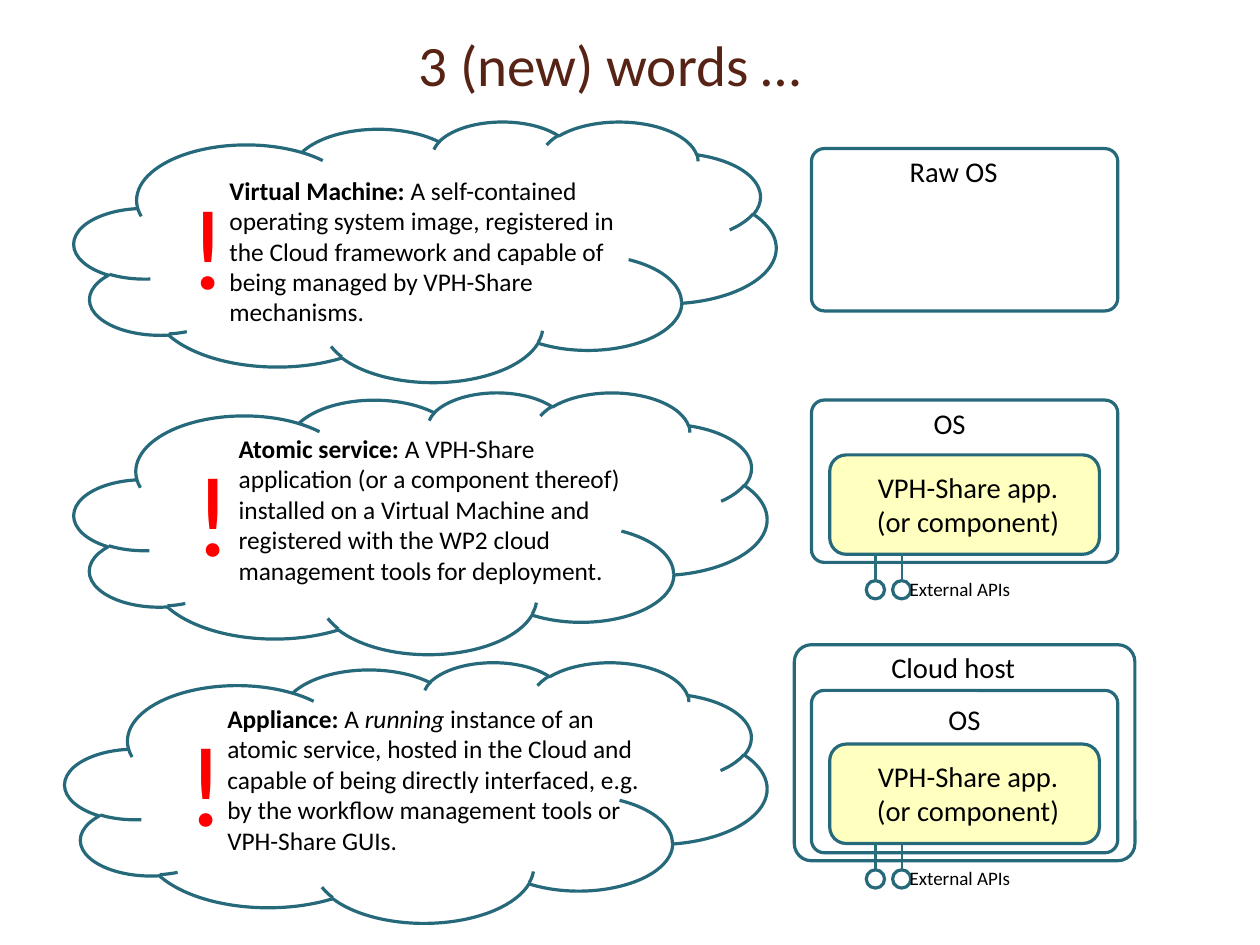
import pptx
import pptx.util
import pptx.dml.color
import pptx.enum.shapes
import pptx.enum.text
import pptx.oxml
import pptx.oxml.ns
from lxml import etree

Inches = pptx.util.Inches
Pt = pptx.util.Pt
hex_color = pptx.dml.color.RGBColor.from_string
MSO_SHAPE = pptx.enum.shapes.MSO_SHAPE
PP_ALIGN = pptx.enum.text.PP_ALIGN
qn = pptx.oxml.ns.qn

TEAL = "26697A"
CONNECTOR_TEAL = "2A6D7D"
BLACK = "000000"
RED = "FF0000"

prs = pptx.Presentation()
prs.slide_width = Pt(793.75)
prs.slide_height = Pt(595.25)
slide = prs.slides.add_slide(prs.slide_layouts[5])


def add_outline(kind, box, corner=None):
    outline = slide.shapes.add_shape(kind, *map(Inches, box))
    outline.shadow.inherit = False
    outline.fill.background()
    outline.line.color.rgb = hex_color(TEAL)
    outline.line.width = Pt(2)
    if corner is not None:
        outline.adjustments[0] = corner
    return outline


def add_text(box, paragraphs, size, color=BLACK, wrap=False, align=PP_ALIGN.LEFT):
    frame = slide.shapes.add_textbox(*map(Inches, box)).text_frame
    frame.word_wrap = wrap
    frame.auto_size = pptx.enum.text.MSO_AUTO_SIZE.SHAPE_TO_FIT_TEXT
    for index, runs in enumerate(paragraphs):
        paragraph = frame.paragraphs[0] if index == 0 else frame.add_paragraph()
        paragraph.alignment = align
        for words, emphasis in runs:
            run = paragraph.add_run()
            run.text = words
            run.font.color.rgb = hex_color(color)
            font_format = {"name": "Calibri", "size": Pt(size), **emphasis}
            for attribute, value in font_format.items():
                setattr(run.font, attribute, value)


title = slide.shapes.title
title_box = {"left": 3.55, "top": -0.1, "width": 3.92, "height": 1.31}
for attribute, value in title_box.items():
    setattr(title, attribute, Inches(value))
title_frame = title.text_frame
title_frame.text = "3 (new) words …"
title_frame_format = {
    "margin_left": Inches(0.11),
    "margin_right": Inches(0.11),
    "margin_top": Inches(0.06),
    "margin_bottom": Inches(0.06),
    "vertical_anchor": pptx.enum.text.MSO_ANCHOR.MIDDLE,
    "auto_size": pptx.enum.text.MSO_AUTO_SIZE.NONE,
}
for attribute, value in title_frame_format.items():
    setattr(title_frame, attribute, value)
title_frame.paragraphs[0].alignment = PP_ALIGN.LEFT
title_font = title_frame.paragraphs[0].runs[0].font
title_font.name = "Calibri"
title_font.size = Pt(36)
title_font.color.rgb = hex_color("572314")

bold = {"bold": True}
definitions = [
    ((0.57, 5.79, 6.14, 2.28), (1.89, 6.1, 3.85, 1.7), (1.54, 6.18), [
        ("Appliance: ", bold),
        ("A ", {}),
        ("running", {"italic": True}),
        (" instance of an atomic service, hosted in the Cloud and capable of "
         "being directly interfaced, e.g. by the workflow management tools or "
         "VPH-Share GUIs.", {}),
    ]),
    ((0.65, 1.06, 6.14, 2.28), (1.91, 1.48, 3.67, 1.7), (1.56, 1.48), [
        ("Virtual Machine: ", bold),
        ("A self-contained operating system image, registered in the Cloud "
         "framework and capable of being managed by VPH-Share mechanisms.", {}),
    ]),
    ((0.65, 3.43, 6.06, 2.29), (1.99, 3.74, 3.8, 1.7), (1.6, 3.82), [
        ("Atomic service: ", bold),
        ("A VPH-Share application (or a component thereof) installed on a "
         "Virtual Machine and registered with the WP2 cloud management tools "
         "for deployment.", {}),
    ]),
]
for cloud_box, definition_box, mark_place, definition in definitions:
    add_outline(MSO_SHAPE.CLOUD, cloud_box)
    add_text(definition_box, [definition], 16, wrap=True)
    add_text((*mark_place, 0.47, 1.3), [[("!", {})]], 72, RED)

systems = [
    ((7.1, 1.3, 2.68, 1.42), "Raw OS", (7.86, 1.3, 1.09, 0.4), None),
    ((7.1, 3.5, 2.68, 1.42), "OS", (8.07, 3.5, 0.53, 0.4), 3.98),
    ((7.1, 6.04, 2.68, 1.42), "OS", (8.2, 6.09, 0.53, 0.4), 6.51),
    ((6.95, 5.64, 2.98, 1.89), "Cloud host", (7.7, 5.64, 1.46, 0.4), None),
]
for system_box, system_name, name_box, app_top in systems:
    add_outline(MSO_SHAPE.ROUNDED_RECTANGLE, system_box, 0.079)
    add_text(name_box, [[(system_name, {})]], 18)
    if app_top is None:
        continue
    app = add_outline(MSO_SHAPE.ROUNDED_RECTANGLE, (7.26, app_top, 2.36, 0.87), 0.167)
    app.fill.solid()
    app.fill.fore_color.rgb = hex_color("FFFF00")
    app_color = app.fill._xPr.find(qn("a:solidFill"))[0]
    etree.SubElement(app_color, qn("a:alpha"), val="25000")
    add_text((7.46, app_top + 0.08, 2.02, 0.7),
             [[("VPH-Share app.", {})], [("(or component)", {})]],
             18, align=PP_ALIGN.CENTER)
    for api_x in (7.66, 7.89):
        api_end = add_outline(MSO_SHAPE.OVAL, (api_x - 0.08, app_top + 1.1, 0.16, 0.16))
        api_stem = slide.shapes.add_connector(
            pptx.enum.shapes.MSO_CONNECTOR.STRAIGHT,
            Inches(api_x), Inches(app_top + 0.86),
            Inches(api_x), Inches(app_top + 1.1))
        api_stem.end_connect(api_end, 0)
        api_stem.line.color.rgb = hex_color(CONNECTOR_TEAL)
        api_stem.line.width = Pt(1.5)
        etree.SubElement(api_stem._element.spPr, qn("a:effectLst"))
    add_text((7.86, app_top + 1.02, 1.23, 0.3), [[("External APIs", {})]], 12)

prs.save("out.pptx")
